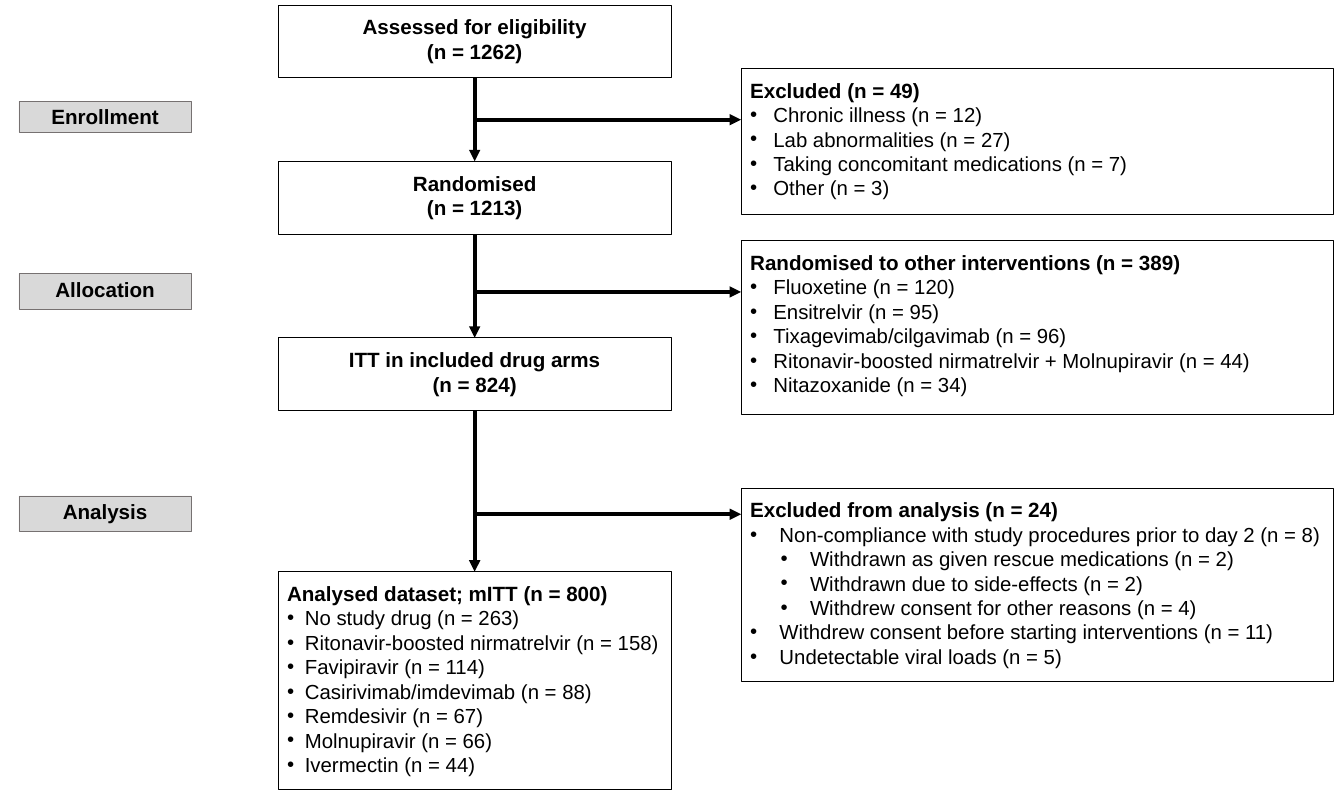
import pptx
import pptx.chart
import pptx.dml.color
import pptx.enum.shapes
import pptx.enum.text
import pptx.oxml
import pptx.oxml.ns
import pptx.util
from pptx.util import Inches

COLOURS = {"ink": "000000", "paper": "FFFFFF", "stage": "D9D9D9", "stage_edge": "767171"}
CENTRE = pptx.enum.text.PP_ALIGN.CENTER
LEFT = pptx.enum.text.PP_ALIGN.LEFT


def colour(name):
    return pptx.dml.color.RGBColor.from_string(COLOURS[name])


def apply(target, values):
    for name, value in values.items():
        setattr(target, name, value)


def add_xml(parent, tag, **attributes):
    child = pptx.oxml.ns.qn(tag)
    element = parent.makeelement(child, attributes)
    parent.append(element)


class FlowChart:
    HEADING = {"name": "Arial", "size": pptx.util.Pt(24.3), "bold": True}
    ITEM = {"name": "Arial", "size": pptx.util.Pt(24), "bold": False}

    def __init__(self, page):
        self.page = page

    def box(self, left, top, width, height, fill="paper", edge="ink", inset=0.15):
        box = self.page.shapes.add_shape(
            pptx.enum.shapes.MSO_SHAPE.RECTANGLE,
            Inches(left), Inches(top), Inches(width), Inches(height))
        box.shadow.inherit = False
        box.fill.solid()
        box.fill.fore_color.rgb = colour(fill)
        box.line.color.rgb = colour(edge)
        box.line.width = pptx.util.Pt(0.75)
        side = Inches(max(inset, 0.1))
        apply(box.text_frame, {
            "word_wrap": True,
            "vertical_anchor": pptx.enum.text.MSO_ANCHOR.TOP,
            "margin_left": side, "margin_right": side,
            "margin_top": Inches(inset), "margin_bottom": Inches(inset)})
        return box

    def line_of_text(self, box, text, style, align):
        frame = box.text_frame
        para = frame.paragraphs[0]
        if para.runs:
            para = frame.add_paragraph()
        para.alignment = align
        span = para.add_run()
        span.text = text
        apply(span.font, style)
        span.font.color.rgb = colour("ink")
        return para

    def headings(self, box, lines, align=CENTRE):
        for text in lines:
            self.line_of_text(box, text, self.HEADING, align)

    def bullets(self, box, items, indent):
        for level, text in items:
            para = self.line_of_text(box, text, self.ITEM, LEFT)
            para.level = level
            properties = para._p.get_or_add_pPr()
            properties.set("marL", str(Inches(indent + 0.5 * level)))
            properties.set("indent", str(-Inches(indent)))
            add_xml(properties, "a:buFont", typeface="Arial")
            add_xml(properties, "a:buChar", char="•")

    def list_box(self, left, top, width, height, title, items, indent):
        box = self.box(left, top, width, height)
        self.headings(box, [title], LEFT)
        self.bullets(box, items, indent)
        return box

    def arrow(self, start, end):
        arrow = self.page.shapes.add_connector(
            pptx.enum.shapes.MSO_CONNECTOR.STRAIGHT,
            *(Inches(value) for value in start + end))
        arrow.line.color.rgb = colour("ink")
        arrow.line.width = pptx.util.Pt(4.5)
        add_xml(arrow.line._get_or_add_ln(), "a:tailEnd", type="triangle")
        add_xml(arrow._element.spPr, "a:effectLst")
        return arrow

    def join(self, upper, lower):
        arrow = self.arrow((0, 0), (0, 0))
        arrow.begin_connect(upper, 2)
        arrow.end_connect(lower, 0)


MAIN_LEFT, MAIN_WIDTH = 4.55, 6.44
MAIN_CENTRE = MAIN_LEFT + MAIN_WIDTH / 2
SIDE_LEFT, SIDE_WIDTH = 12.13, 9.7

STEPS = [
    (0.08, ["Assessed for eligibility", "(n = 1262)"]),
    (2.64, ["Randomised", "(n = 1213)"]),
    (5.53, ["ITT in included drug arms", "(n = 824)"]),
]
ANALYSED = [
    (0, "No study drug (n = 263)"),
    (0, "Ritonavir-boosted nirmatrelvir (n = 158)"),
    (0, "Favipiravir (n = 114)"),
    (0, "Casirivimab/imdevimab (n = 88)"),
    (0, "Remdesivir (n = 67)"),
    (0, "Molnupiravir (n = 66)"),
    (0, "Ivermectin (n = 44)"),
]
# Top, height, arrow height, bullet indent, title, items
SIDE_BOXES = [
    (1.12, 2.39, 1.96, 0.38, "Excluded (n = 49)", [
        (0, "Chronic illness (n = 12)"),
        (0, "Lab abnormalities (n = 27)"),
        (0, "Taking concomitant medications (n = 7)"),
        (0, "Other (n = 3)")]),
    (3.94, 2.84, 4.78, 0.38, "Randomised to other interventions (n = 389)", [
        (0, "Fluoxetine (n = 120)"),
        (0, "Ensitrelvir (n = 95)"),
        (0, "Tixagevimab/cilgavimab (n = 96)"),
        (0, "Ritonavir-boosted nirmatrelvir + Molnupiravir (n = 44)"),
        (0, "Nitazoxanide (n = 34)")]),
    (7.99, 3.16, 8.42, 0.48, "Excluded from analysis (n = 24)", [
        (0, "Non-compliance with study procedures prior to day 2 (n = 8)"),
        (1, "Withdrawn as given rescue medications (n = 2)"),
        (1, "Withdrawn due to side-effects (n = 2)"),
        (1, "Withdrew consent for other reasons (n = 4)"),
        (0, "Withdrew consent before starting interventions (n = 11)"),
        (0, "Undetectable viral loads (n = 5)")]),
]
STAGES = [("Enrollment", 1.66, 0.51), ("Allocation", 4.48, 0.58), ("Analysis", 8.12, 0.58)]


def main():
    deck = pptx.Presentation()
    apply(deck, {"slide_width": Inches(22), "slide_height": Inches(13)})
    chart = FlowChart(deck.slides.add_slide(deck.slide_layouts[6]))

    # Main column of steps
    steps = []
    for top, lines in STEPS:
        step = chart.box(MAIN_LEFT, top, MAIN_WIDTH, 1.19)
        chart.headings(step, lines)
        steps.append(step)
    steps.append(chart.list_box(MAIN_LEFT, 9.36, MAIN_WIDTH, 3.56,
                                "Analysed dataset; mITT (n = 800)", ANALYSED, 0.29))
    for upper, lower in zip(steps, steps[1:]):
        chart.join(upper, lower)

    # Side boxes with their branch arrows
    for top, height, branch, indent, title, items in SIDE_BOXES:
        chart.list_box(SIDE_LEFT, top, SIDE_WIDTH, height, title, items, indent)
        chart.arrow((MAIN_CENTRE, branch), (SIDE_LEFT, branch))

    # Stage labels
    for name, top, height in STAGES:
        label = chart.box(0.31, top, 2.82, height, "stage", "stage_edge", 0.05)
        chart.headings(label, [name])

    deck.save("out.pptx")


if __name__ == "__main__":
    main()
